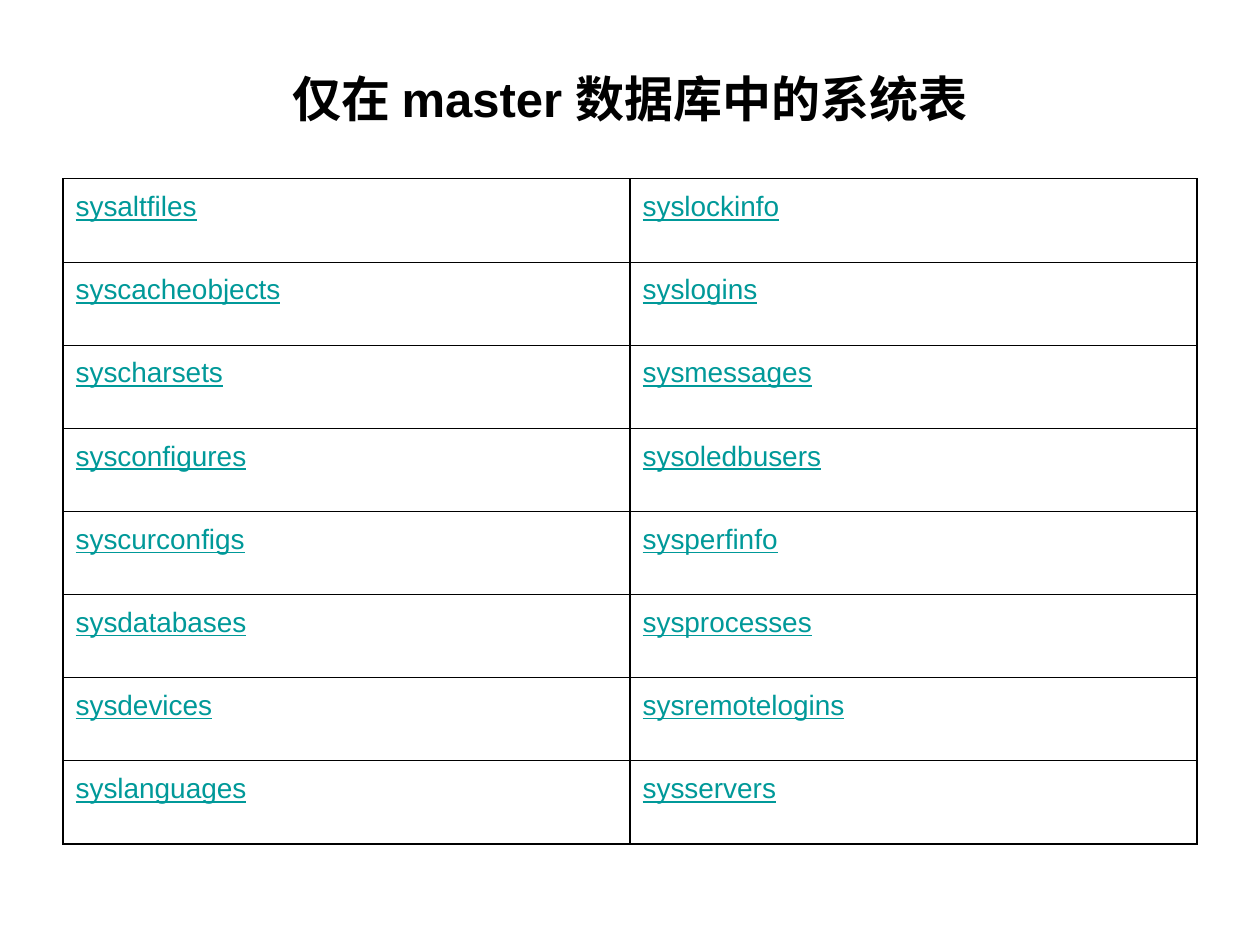
from lxml.etree import SubElement
from pptx import Presentation
from pptx.dml.color import RGBColor
from pptx.enum.text import MSO_ANCHOR, PP_ALIGN
from pptx.oxml.ns import qn
from pptx.util import Inches, Pt

COLORS = {"ink": "000000", "link": "009999"}
FONT = "Arial"
MARGIN, CONTENT_WIDTH = 0.5, 9
TABLE_TOP, ROW_HEIGHT = 1.42, 0.66
TITLE = "仅在 master 数据库中的系统表"
SYSTEM_TABLES = [
    ("sysaltfiles", "syslockinfo"),
    ("syscacheobjects", "syslogins"),
    ("syscharsets", "sysmessages"),
    ("sysconfigures", "sysoledbusers"),
    ("syscurconfigs", "sysperfinfo"),
    ("sysdatabases", "sysprocesses"),
    ("sysdevices", "sysremotelogins"),
    ("syslanguages", "sysservers"),
]
TITLE_FORMAT = {"name": FONT, "size": Pt(28), "bold": True}
LINK_FORMAT = {"name": FONT, "size": Pt(16), "bold": False, "underline": True}


def write(para, text, color, font_format):
    span = para.add_run()
    span.text = text
    for name, value in font_format.items():
        setattr(span.font, name, value)
    span.font.color.rgb = RGBColor.from_string(COLORS[color])


def add_title(page):
    title = page.shapes.title
    place = {"left": MARGIN, "top": 0.3, "width": CONTENT_WIDTH, "height": 0.95}
    for name, value in place.items():
        setattr(title, name, Inches(value))
    title.text_frame.vertical_anchor = MSO_ANCHOR.MIDDLE
    para = title.text_frame.paragraphs[0]
    para.alignment = PP_ALIGN.CENTER
    write(para, TITLE, "ink", TITLE_FORMAT)


def add_borders(cell):
    """Draw all four sides; the lines must precede the fill in the cell properties."""
    properties = cell._tc.get_or_add_tcPr()
    for position, side in enumerate(("lnL", "lnR", "lnT", "lnB")):
        line = properties.makeelement(qn(f"a:{side}"), {"w": str(Pt(0.75))})
        fill = SubElement(line, qn("a:solidFill"))
        SubElement(fill, qn("a:srgbClr"), val=COLORS["ink"])
        properties.insert(position, line)


def fill_cell(cell, text):
    cell.fill.background()
    add_borders(cell)
    para = cell.text_frame.paragraphs[0]
    para.line_spacing = 1.2
    para.space_after = Pt(5)
    hanging = para._p.get_or_add_pPr()
    hanging.set("marL", str(Inches(0.38)))
    hanging.set("indent", str(-Inches(0.38)))
    write(para, text, "link", LINK_FORMAT)


def add_name_table(page, rows):
    frame = page.shapes.add_table(
        len(rows), len(rows[0]), Inches(MARGIN), Inches(TABLE_TOP),
        Inches(CONTENT_WIDTH), Inches(ROW_HEIGHT * len(rows)))
    table = frame.table
    table.first_row = False
    table.horz_banding = False
    for row, names in enumerate(rows):
        for column, name in enumerate(names):
            fill_cell(table.cell(row, column), name)


def main():
    deck = Presentation()
    deck.slide_width, deck.slide_height = Inches(10), Inches(7.5)
    page = deck.slides.add_slide(deck.slide_layouts.get_by_name("Title Only"))
    add_title(page)
    add_name_table(page, SYSTEM_TABLES)
    deck.save("out.pptx")


if __name__ == "__main__":
    main()
